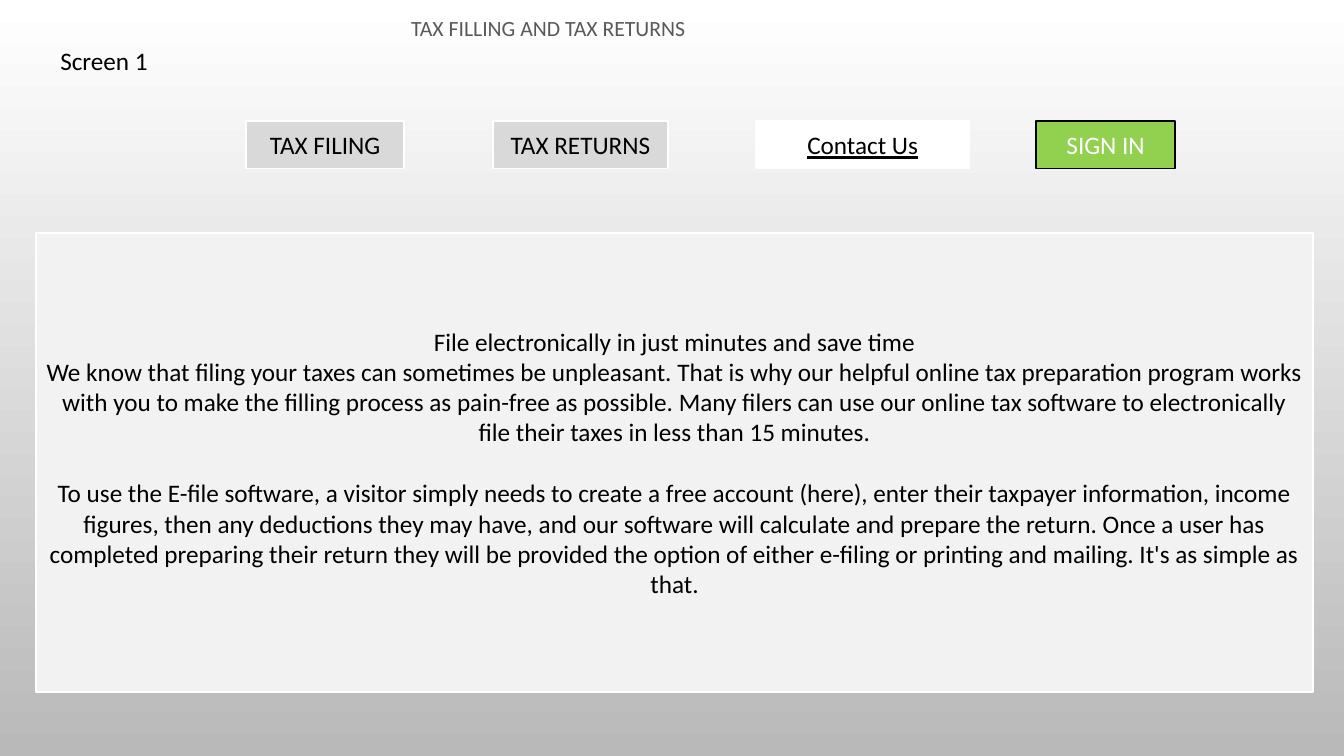
"""Builds the tax filing home screen slide with its navigation bar and welcome panel."""
from dataclasses import dataclass

from pptx import Presentation, util as u
from pptx.dml.color import RGBColor
from pptx.enum import shapes, text


@dataclass(frozen=True)
class Theme:
    font: str = "Calibri"
    title_size: float = 15.5
    body_size: float = 18
    line_width: float = 1.25
    black: str = "000000"
    white: str = "FFFFFF"
    title: str = "595959"
    button: str = "D9D9D9"
    accent: str = "92D050"
    panel: str = "F2F2F2"
    background_end: str = "B9B9B9"


theme = Theme()


def style_text(text_frame, size, color, alignment, underline=None):
    """Formats every paragraph and run of a text frame."""
    text_frame.word_wrap = True
    for paragraph in text_frame.paragraphs:
        paragraph.alignment = alignment
        for run in paragraph.runs:
            run.font.name = theme.font
            run.font.size = u.Pt(size)
            run.font.color.rgb = RGBColor.from_string(color)
            run.font.underline = underline


def add_box(slide, box, words, fill, line, color, underline=None):
    """Adds an outlined rectangle with centred text."""
    shape = slide.shapes.add_shape(shapes.MSO_SHAPE.RECTANGLE, *map(u.Cm, box))
    shape.shadow.inherit = False
    shape.fill.solid()
    shape.fill.fore_color.rgb = RGBColor.from_string(fill)
    shape.line.color.rgb = RGBColor.from_string(line)
    shape.line.width = u.Pt(theme.line_width)
    shape.text_frame.text = words
    shape.text_frame.vertical_anchor = text.MSO_ANCHOR.MIDDLE
    style_text(shape.text_frame, theme.body_size, color, text.PP_ALIGN.CENTER, underline)
    return shape


presentation = Presentation()
presentation.slide_width = u.Cm(33.87)
presentation.slide_height = u.Cm(19.05)
slide = presentation.slides.add_slide(presentation.slide_layouts[5])

background = slide.background.fill
background.gradient()
background.gradient_angle = 270
for stop, color in zip(background.gradient_stops, (theme.white, theme.background_end)):
    stop.color.rgb = RGBColor.from_string(color)

title = slide.shapes.title
title.left, title.top, title.width, title.height = map(u.Cm, (3.73, 0.25, 26.97, 1.2))
title.text_frame.text = "TAX FILLING AND TAX RETURNS"
title.text_frame.auto_size = text.MSO_AUTO_SIZE.NONE
title.text_frame.vertical_anchor = text.MSO_ANCHOR.TOP
title.text_frame.margin_left = u.Cm(6.63)
style_text(title.text_frame, theme.title_size, theme.title, text.PP_ALIGN.LEFT)

screen_label = slide.shapes.add_textbox(*map(u.Cm, (1.27, 1.02, 4.93, 1.02)))
screen_label.text_frame.text = "Screen 1"
style_text(screen_label.text_frame, theme.body_size, theme.black, text.PP_ALIGN.LEFT)

button_top, button_height = 3.05, 1.2
buttons = [
    ("TAX FILING", 6.2, 3.99, theme.button, theme.white, theme.black, None),
    ("TAX RETURNS", 12.42, 4.42, theme.button, theme.white, theme.black, None),
    ("Contact Us", 19.05, 5.38, theme.white, theme.white, theme.black, True),
    ("SIGN IN", 26.11, 3.51, theme.accent, theme.black, theme.white, None),
]
for words, left, width, fill, line, color, underline in buttons:
    box = (left, button_top, width, button_height)
    add_box(slide, box, words, fill, line, color, underline)

welcome = [
    "File electronically in just minutes and save time",
    "We know that filing your taxes can sometimes be unpleasant. That is why our helpful "
    "online tax preparation program works with you to make the filling process as pain-free "
    "as possible. Many filers can use our online tax software to electronically file their "
    "taxes in less than 15 minutes.",
    "To use the E-file software, a visitor simply needs to create a free account (here), "
    "enter their taxpayer information, income figures, then any deductions they may have, "
    "and our software will calculate and prepare the return. Once a user has completed "
    "preparing their return they will be provided the option of either e-filing or printing "
    "and mailing. It's as simple as that.",
]
panel = add_box(slide, (0.91, 5.87, 32.18, 11.56), "\n".join(welcome),
                theme.panel, theme.white, theme.black)
panel.text_frame.paragraphs[-1].space_before = u.Pt(22)

presentation.save("out.pptx")
